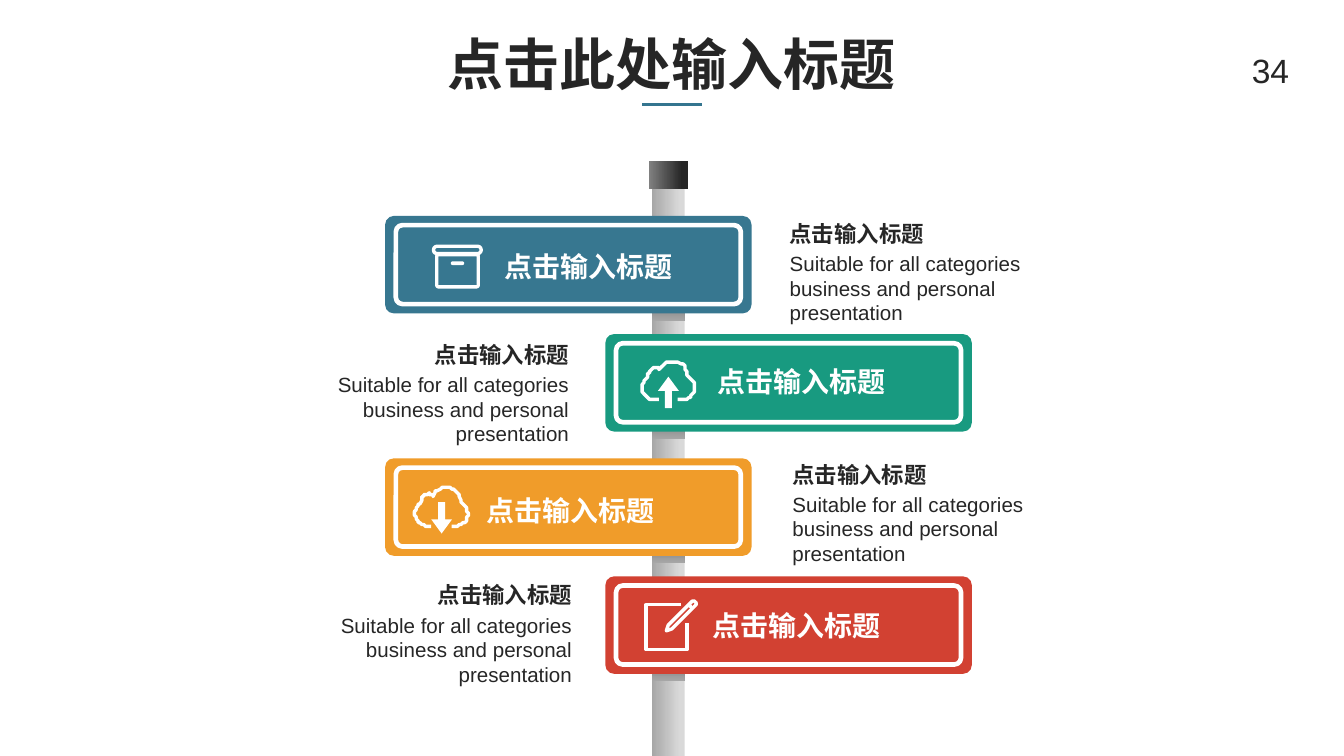
import math

import pptx
import pptx.oxml
import pptx.util
from pptx.dml.color import RGBColor
from pptx.enum.shapes import MSO_CONNECTOR, MSO_SHAPE
from pptx.enum.text import MSO_ANCHOR, MSO_AUTO_SIZE, PP_ALIGN

Pt = pptx.util.Pt

INK = RGBColor(0x26, 0x26, 0x26)
WHITE = RGBColor(0xFF, 0xFF, 0xFF)
RULE = RGBColor(0x34, 0x75, 0x8F)
BLUE = RGBColor(0x37, 0x77, 0x90)
GREEN = RGBColor(0x18, 0x9A, 0x80)
ORANGE = RGBColor(0xF0, 0x9C, 0x2A)
RED = RGBColor(0xD2, 0x41, 0x32)
LIGHT_GREY = RGBColor(0xD9, 0xD9, 0xD9)
MID_GREY = RGBColor(0xA6, 0xA6, 0xA6)
DARK_GREY = RGBColor(0x80, 0x80, 0x80)

TITLE = "点击此处输入标题"
PAGE_NUMBER = "34"
HEADING = "点击输入标题"
DESCRIPTION = "Suitable for all categories business and personal presentation"

# Sign position and colour, label position, icon and its position,
# then left edge and top of the caption, and the caption's alignment
SIGNS = [
    {"sign": (206.3, 115.7), "color": BLUE, "label": (265, 131),
     "icon": "box", "icon_at": (231.3, 131), "caption": (417.6, 115.2), "align": PP_ALIGN.LEFT},
    {"sign": (324.3, 179), "color": GREEN, "label": (378.9, 192.7),
     "icon": "upload", "icon_at": (343.2, 192.4), "caption": (136.8, 180), "align": PP_ALIGN.RIGHT},
    {"sign": (206.3, 245.6), "color": ORANGE, "label": (255, 261.6),
     "icon": "download", "icon_at": (221.7, 259.9), "caption": (419.1, 244.1), "align": PP_ALIGN.LEFT},
    {"sign": (324.3, 308.8), "color": RED, "label": (376.3, 323.2),
     "icon": "pencil", "icon_at": (345.1, 321.2), "caption": (138.4, 308.9), "align": PP_ALIGN.RIGHT},
]
SIGN_SIZE = (196.3, 52.2)
FRAME_INSET = (5.75, 4.95)
POST_LEFT, POST_WIDTH = 349.2, 17.7
SHADOW_OFFSET, SHADOW_HEIGHT = 38.8, 17.3
CAPTION_WIDTH, HEADING_WIDTH = 173.5, 83.5
LABEL_WIDTH = 101.5
ICON_LINE = 1.8

# Centre, radius, start and end angle of each arc in the cloud outline
CLOUD_ARCS = [
    (7.2, 15.2, 6.5, 90, 235),
    (8.2, 8.6, 4, 180, 300),
    (17.3, 9, 7.9, 205, 360),
    (22.4, 15.2, 6.5, -60, 90),
]

presentation = pptx.Presentation()
presentation.slide_width, presentation.slide_height = Pt(720), Pt(405)
slide = presentation.slides.add_slide(presentation.slide_layouts[6])
shapes = slide.shapes


def add_text(text, left, top, width, height, size, color=INK, bold=False,
             align=PP_ALIGN.LEFT, wrap=True, grow=True):
    box = shapes.add_textbox(Pt(left), Pt(top), Pt(width), Pt(height))
    frame = box.text_frame
    frame.margin_left = frame.margin_right = Pt(5.4)
    frame.margin_top = frame.margin_bottom = Pt(2.7)
    frame.word_wrap = wrap
    frame.auto_size = MSO_AUTO_SIZE.SHAPE_TO_FIT_TEXT if grow else MSO_AUTO_SIZE.NONE
    frame.text = text
    paragraph = frame.paragraphs[0]
    paragraph.alignment = align
    font = paragraph.runs[0].font
    font.name, font.size, font.bold = "Arial", Pt(size), bold
    font.color.rgb = color
    return frame


def paint(shape, fill=None, line=None, line_width=ICON_LINE):
    shape.shadow.inherit = False
    if fill is None:
        shape.fill.background()
    else:
        shape.fill.solid()
        shape.fill.fore_color.rgb = fill
    if line is None:
        shape.line.fill.background()
    else:
        shape.line.color.rgb = line
        shape.line.width = Pt(line_width)


def add_preset(kind, left, top, width, height, adjustments=(), **colors):
    shape = shapes.add_shape(kind, Pt(left), Pt(top), Pt(width), Pt(height))
    for index, value in enumerate(adjustments):
        shape.adjustments[index] = value
    paint(shape, **colors)
    return shape


def add_gradient(left, top, width, height, first, first_position, last, angle):
    shape = add_preset(MSO_SHAPE.RECTANGLE, left, top, width, height)
    shape.fill.gradient()
    shape.fill.gradient_angle = angle
    stops = shape.fill.gradient_stops
    for stop, color, position in zip(stops, (first, last), (first_position, 1)):
        stop.color.rgb, stop.position = color, position


def add_stroke(left, top, points, close=False):
    """Draw a white line through points given relative to left, top."""
    moved = [(left + x, top + y) for x, y in points]
    builder = shapes.build_freeform(*moved[0], scale=Pt(1))
    builder.add_line_segments(moved[1:], close=close)
    paint(builder.convert_to_shape(), line=WHITE)


def add_line(start, end, color, width):
    points = [Pt(value) for value in (*start, *end)]
    line = shapes.add_connector(MSO_CONNECTOR.STRAIGHT, *points)
    line.line.color.rgb, line.line.width = color, Pt(width)
    properties = line._element.spPr
    properties.append(properties.makeelement(pptx.oxml.ns.qn("a:effectLst"), {}))


def draw_box(left, top):
    rounded = MSO_SHAPE.ROUNDED_RECTANGLE
    add_preset(rounded, left + 0.9, top + 0.9, 25.6, 4, [0.5], line=WHITE)
    add_preset(rounded, left + 2.7, top + 5.4, 22.2, 17.3, [0.05], line=WHITE)
    add_preset(rounded, left + 10.2, top + 9, 7.2, 2, [0.5], fill=WHITE)


def draw_cloud(left, top, arrow, arrow_top):
    points = [(9.4, 21.7)]
    for x, y, radius, start, end in CLOUD_ARCS:
        for step in range(17):
            angle = math.radians(start + (end - start) * step / 16)
            points.append((x + radius * math.cos(angle), y + radius * math.sin(angle)))
    points.append((20.2, 21.7))
    add_stroke(left, top, points)
    add_preset(arrow, left + 9.3, top + arrow_top, 11.2, 16.8, [0.33, 0.68], fill=WHITE)


def draw_upload(left, top):
    draw_cloud(left, top, MSO_SHAPE.UP_ARROW, 9.4)


def draw_download(left, top):
    draw_cloud(left, top, MSO_SHAPE.DOWN_ARROW, 9.1)


def draw_pencil(left, top):
    add_stroke(left, top, [(19.8, 2.9), (0.9, 2.9), (0.9, 27.3), (23.1, 27.3), (23.1, 12.4)])
    add_stroke(left, top, [(11.7, 17.3), (13.1, 13.6), (25.6, 0.8), (27, 0.8),
                           (28.1, 2), (28.1, 3), (15.2, 15.8)], close=True)
    add_line((left + 23.5, top + 2.3), (left + 25.9, top + 4.8), WHITE, ICON_LINE)


ICONS = {"box": draw_box, "upload": draw_upload, "download": draw_download, "pencil": draw_pencil}

add_line((344, 56), (376, 56), RULE, 2)
title_frame = add_text(TITLE, 49.7, 10.8, 620.6, 51.1, 30, bold=True,
                       align=PP_ALIGN.CENTER, grow=False)
title_frame.vertical_anchor = MSO_ANCHOR.MIDDLE
title_frame.paragraphs[0].line_spacing = 0.9
add_text(PAGE_NUMBER, 665.2, 23.8, 38.2, 21.6, 18, grow=False)

add_gradient(POST_LEFT, 95.8, POST_WIDTH, 423.4, LIGHT_GREY, 0.15, MID_GREY, 180)
add_gradient(347.7, 86.3, 20.9, 15, INK, 0.15, DARK_GREY, 180)

for sign in SIGNS:
    left, top = sign["sign"]
    width, height = SIGN_SIZE
    inset_x, inset_y = FRAME_INSET
    add_gradient(POST_LEFT, top + SHADOW_OFFSET, POST_WIDTH, SHADOW_HEIGHT,
                 DARK_GREY, 0.46, MID_GREY, 270)
    add_preset(MSO_SHAPE.ROUNDED_RECTANGLE, left, top, width, height, [0.09], fill=sign["color"])
    add_preset(MSO_SHAPE.ROUNDED_RECTANGLE, left + inset_x, top + inset_y,
               width - 2 * inset_x, height - 2 * inset_y, [0.085], line=WHITE, line_width=2.5)
    ICONS[sign["icon"]](*sign["icon_at"])
    add_text(HEADING, *sign["label"], LABEL_WIDTH, 23.8, 15, WHITE, bold=True, wrap=False)

    left, top = sign["caption"]
    align = sign["align"]
    heading_left = left + (CAPTION_WIDTH - HEADING_WIDTH if align == PP_ALIGN.RIGHT else 0)
    add_text(HEADING, heading_left, top, HEADING_WIDTH, 20.2, 12,
             bold=True, align=align, wrap=False)
    add_text(DESCRIPTION, left, top + 16.6, CAPTION_WIDTH, 45.4, 11, align=align)

presentation.save("out.pptx")
